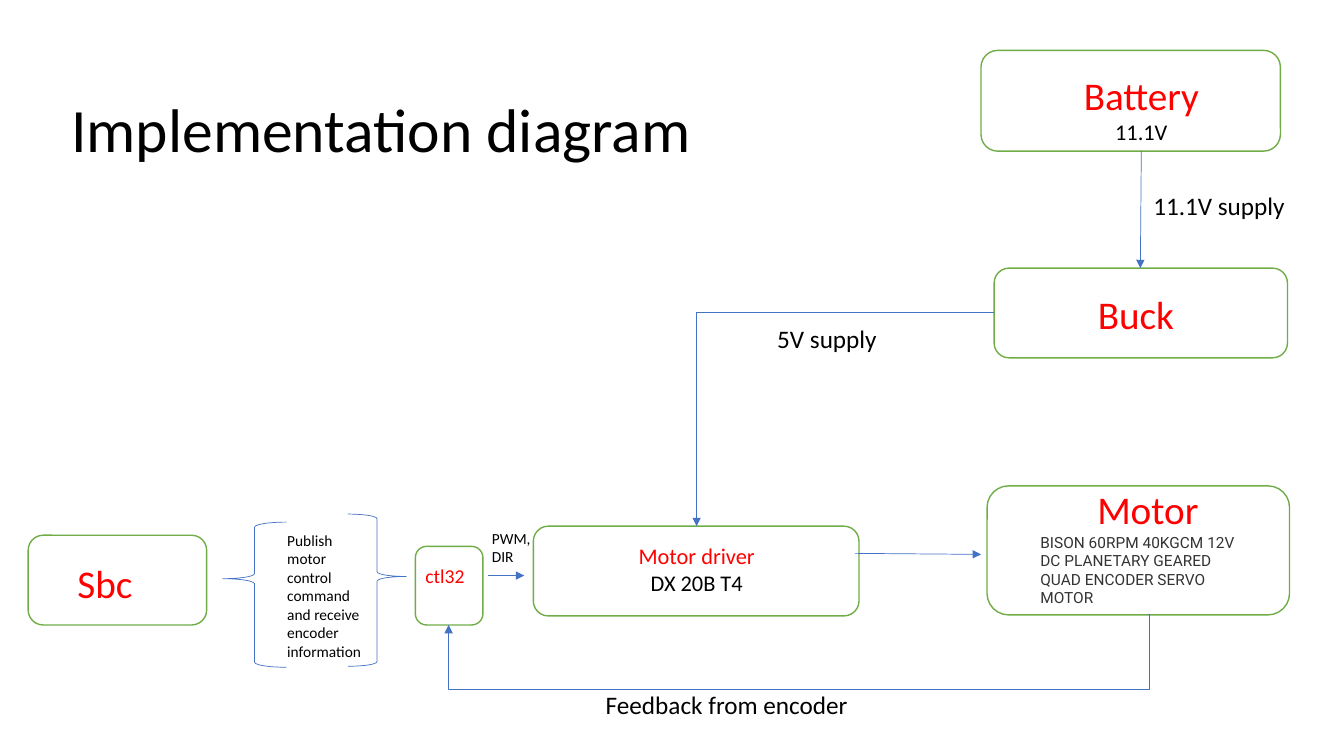
from typing import NamedTuple

from lxml.etree import SubElement
from pptx import Presentation
from pptx.dml.color import RGBColor as Rgb
from pptx.enum.shapes import MSO_CONNECTOR as Conn, MSO_SHAPE as Kind
from pptx.enum.text import MSO_ANCHOR as Anchor, PP_ALIGN as Align
from pptx.oxml.ns import qn
from pptx.util import Inches, Pt

HUES = {
    "white": "FFFFFF",
    "green": "70AD47",
    "blue": "4472C4",
    "red": "FF0000",
    "black": "000000",
    "gray": "333333",
}


class Area(NamedTuple):
    left: float
    top: float
    width: float
    height: float


class Line(NamedTuple):
    text: str
    size: float
    hue: str = "black"
    font: str = "Calibri"
    align: Align = Align.LEFT


class Label(NamedTuple):
    area: Area
    lines: list[Line]


class Brace(NamedTuple):
    kind: Kind
    area: Area
    point: float


class Arrow(NamedTuple):
    start: tuple[float, float]
    end: tuple[float, float]
    bend: str = ""
    guides: tuple[int, ...] = ()


MID = Align.CENTER

BOXES = [
    Area(9.73, 0.5, 2.97, 1),
    Area(9.86, 2.66, 2.91, 0.89),
    Area(9.79, 4.82, 3, 1.28),
    Area(5.29, 5.22, 3.23, 0.89),
    Area(4.12, 5.42, 0.67, 0.78),
    Area(0.28, 5.31, 1.77, 0.89),
]

BRACES = [
    Brace(Kind.LEFT_BRACE, Area(2.21, 5.18, 0.63, 1.44), 0.39),
    Brace(Kind.RIGHT_BRACE, Area(3.45, 5.1, 0.58, 1.51), 0.41),
]

ARROWS = [
    Arrow((11.32, 1.5), (11.31, 2.66)),
    Arrow((8.48, 5.49), (9.73, 5.5)),
    Arrow((4.84, 5.71), (5.2, 5.71)),
    Arrow((9.86, 3.1), (6.91, 5.22), "bentConnector2"),
    Arrow((11.39, 6.1), (4.45, 6.2), "bentConnector4", (-100, 740000)),
]

LABELS = [
    Label(Area(10.55, 0.66, 1.54, 0.84), [
        Line("Battery", 28, "red", align=MID),
        Line("11.1V", 16, align=MID),
    ]),
    Label(Area(10.79, 2.83, 1.4, 0.34), [Line("Buck", 28, "red")]),
    Label(Area(10.22, 4.77, 2.33, 1.68), [
        Line("Motor", 28, "red", align=MID),
        Line("BISON 60RPM 40KGCM 12V DC PLANETARY GEARED QUAD ENCODER SERVO MOTOR",
             11, "gray", "Roboto"),
    ]),
    Label(Area(5.8, 5.33, 2.22, 0.33), [
        Line("Motor driver", 16, "red", align=MID),
        Line("DX 20B T4", 16, align=MID),
    ]),
    Label(Area(4.12, 5.55, 0.72, 0.34), [Line("ctl32", 14, "red")]),
    Label(Area(0.67, 5.5, 0.8, 0.57), [Line("Sbc", 28, "red")]),
    Label(Area(2.75, 5.22, 0.99, 1.4), [
        Line("Publish motor control command and receive encoder information", 11),
    ]),
    Label(Area(4.78, 5.2, 0.73, 0.47), [Line("PWM,", 11), Line("DIR", 11)]),
    Label(Area(11.34, 1.84, 1.57, 0.4), [Line("11.1V supply", 18)]),
    Label(Area(7.61, 3.16, 1.27, 0.4), [Line("5V supply", 18)]),
    Label(Area(5.91, 6.79, 3.4, 0.4), [Line("Feedback from encoder", 18)]),
]


def tint(name: str) -> Rgb:
    return Rgb.from_string(HUES[name])


def place(area: Area) -> list[int]:
    return [Inches(side) for side in area]


def stroke(item, hue: str, width: float) -> None:
    item.line.color.rgb = tint(hue)
    item.line.width = Pt(width)


def write(para, text: str, *, size: float, hue: str = "black",
          font: str = "Calibri", align: Align = Align.LEFT) -> None:
    para.alignment = align
    run = para.add_run()
    run.text = text
    run.font.size = Pt(size)
    run.font.name = font
    run.font.color.rgb = tint(hue)


def draw_box(slide, area: Area) -> None:
    box = slide.shapes.add_shape(Kind.ROUNDED_RECTANGLE, *place(area))
    box.shadow.inherit = False
    box.fill.solid()
    box.fill.fore_color.rgb = tint("white")
    stroke(box, "green", 1)


def draw_brace(slide, brace: Brace) -> None:
    shape = slide.shapes.add_shape(brace.kind, *place(brace.area))
    shape.shadow.inherit = False
    shape.fill.background()
    shape.adjustments[0] = 0.08
    shape.adjustments[1] = brace.point
    stroke(shape, "blue", 0.5)


def draw_arrow(slide, arrow: Arrow) -> None:
    kind = Conn.ELBOW if arrow.bend else Conn.STRAIGHT
    ends = [Inches(value) for value in (*arrow.start, *arrow.end)]
    link = slide.shapes.add_connector(kind, *ends)
    stroke(link, "blue", 0.5)
    props = link.element.spPr
    SubElement(props.find(qn("a:ln")), qn("a:tailEnd"), type="triangle")
    SubElement(props, qn("a:effectLst"))
    if arrow.bend:
        geom = props.find(qn("a:prstGeom"))
        geom.set("prst", arrow.bend)
        guides = geom.find(qn("a:avLst"))
        for rank, value in enumerate(arrow.guides, 1):
            SubElement(guides, qn("a:gd"), name=f"adj{rank}", fmla=f"val {value}")


def draw_label(slide, label: Label):
    frame = slide.shapes.add_textbox(*place(label.area)).text_frame
    frame.word_wrap = True
    for rank, line in enumerate(label.lines):
        para = frame.add_paragraph() if rank else frame.paragraphs[0]
        write(para, line.text, size=line.size, hue=line.hue,
              font=line.font, align=line.align)
    return frame


def main() -> None:
    deck = Presentation()
    deck.slide_width = Inches(13.33)
    deck.slide_height = Inches(7.5)
    slide = deck.slides.add_slide(deck.slide_layouts[6])
    for area in BOXES:
        draw_box(slide, area)
    for brace in BRACES:
        draw_brace(slide, brace)
    for arrow in ARROWS:
        draw_arrow(slide, arrow)
    for label in LABELS:
        draw_label(slide, label)
    title = Label(Area(0.61, 0.91, 8.06, 0.81), [Line("Implementation diagram", 44)])
    frame = draw_label(slide, title)
    frame.vertical_anchor = Anchor.MIDDLE
    frame.paragraphs[0].line_spacing = 0.9
    deck.save("out.pptx")


if __name__ == "__main__":
    main()
